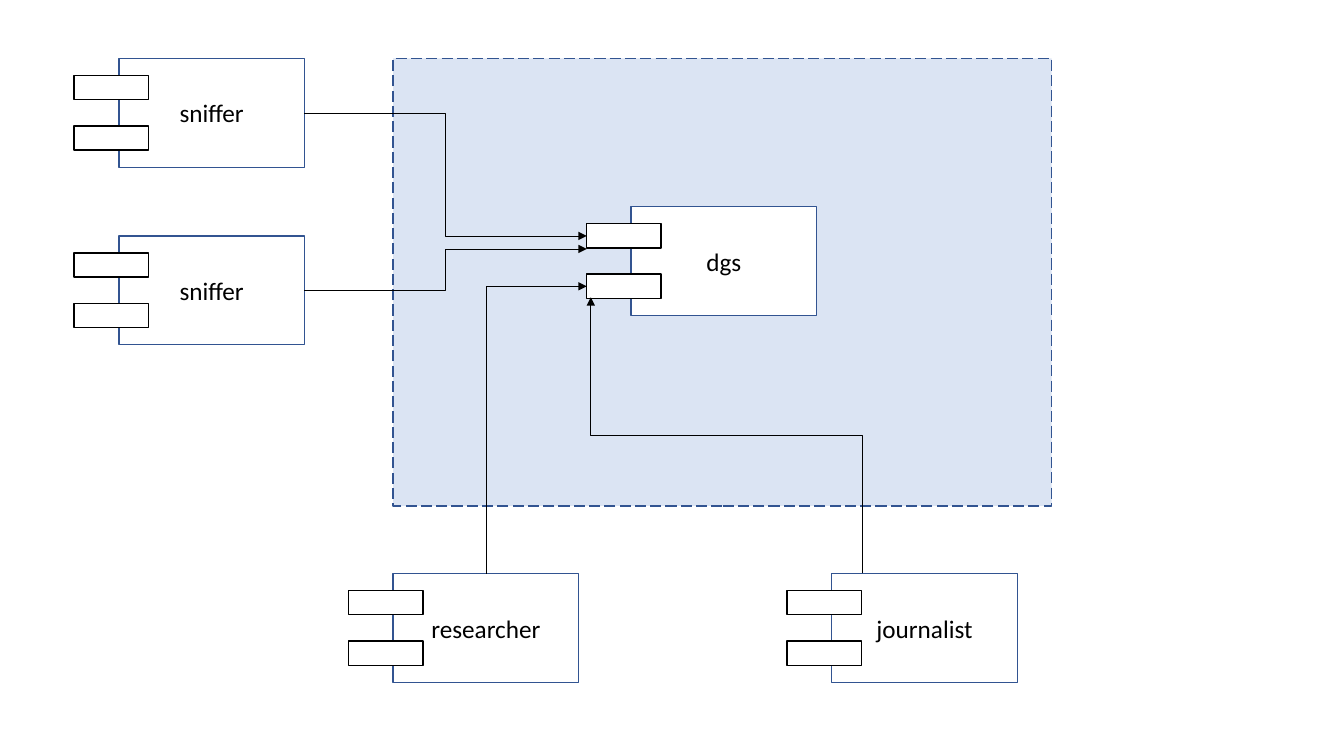
from dataclasses import dataclass

from lxml.etree import SubElement
from pptx import Presentation
from pptx.dml.color import RGBColor
from pptx.enum.dml import MSO_LINE_DASH_STYLE as Dash
from pptx.enum.shapes import MSO_CONNECTOR_TYPE as Connector, MSO_SHAPE as Preset
from pptx.enum.text import MSO_ANCHOR as Anchor, PP_ALIGN as Align
from pptx.oxml.ns import qn
from pptx.util import Inches, Pt

BLACK, WHITE, BLUE, NAVY = "000000", "FFFFFF", "4472C4", "325491"
BODY_WIDTH, BODY_HEIGHT = 1.84, 1.08
PORT_WIDTH, PORT_HEIGHT = 0.74, 0.24
PORT_SHIFT = -0.445
PORT_DROPS = (0.17, 0.67)


@dataclass(frozen=True)
class Component:
    name: str
    left: float
    top: float
    fill: str | None = None


@dataclass(frozen=True)
class Route:
    start: tuple[float, float]
    end: tuple[float, float]
    upward: bool = False
    preset: str = "bentConnector3"


COMPONENTS = (
    Component("dgs", 6.26, 2.05, WHITE),
    Component("journalist", 8.25, 5.69),
    Component("researcher", 3.9, 5.69),
    Component("sniffer", 1.18, 0.58),
    Component("sniffer", 1.18, 2.34),
)
ROUTES = (
    Route((3.02, 1.12), (5.82, 2.34)),
    Route((3.02, 2.88), (5.82, 2.47)),
    Route((4.82, 5.69), (5.82, 2.84), upward=True, preset="bentConnector2"),
    Route((8.55, 5.69), (5.86, 2.95), upward=True),
)


def color(value: str) -> RGBColor:
    return RGBColor.from_string(value)


def add_box(shapes, left: float, top: float, width: float, height: float,
            line: str, fill: str | None = None):
    box = shapes.add_shape(Preset.RECTANGLE, Inches(left), Inches(top),
                           Inches(width), Inches(height))
    box.shadow.inherit = False
    box.line.color.rgb = color(line)
    box.line.width = Pt(1)
    if fill is None:
        box.fill.background()
    else:
        box.fill.solid()
        box.fill.fore_color.rgb = color(fill)
    return box


def add_boundary(page) -> None:
    boundary = add_box(page.shapes, 3.9, 0.58, 6.53, 4.44, NAVY, BLUE)
    boundary.line.dash_style = Dash.LONG_DASH
    tint = boundary.fill._xPr.find(f"{qn('a:solidFill')}/{qn('a:srgbClr')}")
    SubElement(tint, qn("a:alpha"), val="19000")


def add_component(page, component: Component) -> None:
    group = page.shapes.add_group_shape()
    body = add_box(group.shapes, component.left, component.top,
                   BODY_WIDTH, BODY_HEIGHT, NAVY, component.fill)
    frame = body.text_frame
    frame.word_wrap = True
    frame.vertical_anchor = Anchor.MIDDLE
    para = frame.paragraphs[0]
    para.text = component.name
    para.alignment = Align.CENTER
    para.font.name = "Calibri"
    para.font.size = Pt(18)
    para.font.color.rgb = color(BLACK)
    for drop in PORT_DROPS:
        add_box(group.shapes, component.left + PORT_SHIFT, component.top + drop,
                PORT_WIDTH, PORT_HEIGHT, BLACK, WHITE)


def add_route(page, route: Route) -> None:
    """Draw an elbow arrow; an upward one is laid sideways, then turned 270 degrees."""
    (x1, y1), (x2, y2) = route.start, route.end
    if route.upward:
        middle_x, middle_y = (x1 + x2) / 2, (y1 + y2) / 2
        half_rise, half_run = (y1 - y2) / 2, (x2 - x1) / 2
        x1, x2 = middle_x - half_rise, middle_x + half_rise
        y1, y2 = middle_y - half_run, middle_y + half_run
    arrow = page.shapes.add_connector(Connector.ELBOW, Inches(x1), Inches(y1),
                                      Inches(x2), Inches(y2))
    arrow.line.color.rgb = color(BLACK)
    arrow.line.width = Pt(0.5)
    properties = arrow._element.spPr
    properties.find(qn("a:prstGeom")).set("prst", route.preset)
    if route.upward:
        properties.find(qn("a:xfrm")).set("rot", str(270 * 60000))
    SubElement(properties.find(qn("a:ln")), qn("a:tailEnd"), type="triangle")
    SubElement(properties, qn("a:effectLst"))


def main() -> None:
    deck = Presentation()
    deck.slide_width, deck.slide_height = Inches(13.33), Inches(7.5)
    page = deck.slides.add_slide(deck.slide_layouts[6])
    add_boundary(page)
    for component in COMPONENTS:
        add_component(page, component)
    for route in ROUTES:
        add_route(page, route)
    deck.save("out.pptx")


if __name__ == "__main__":
    main()
